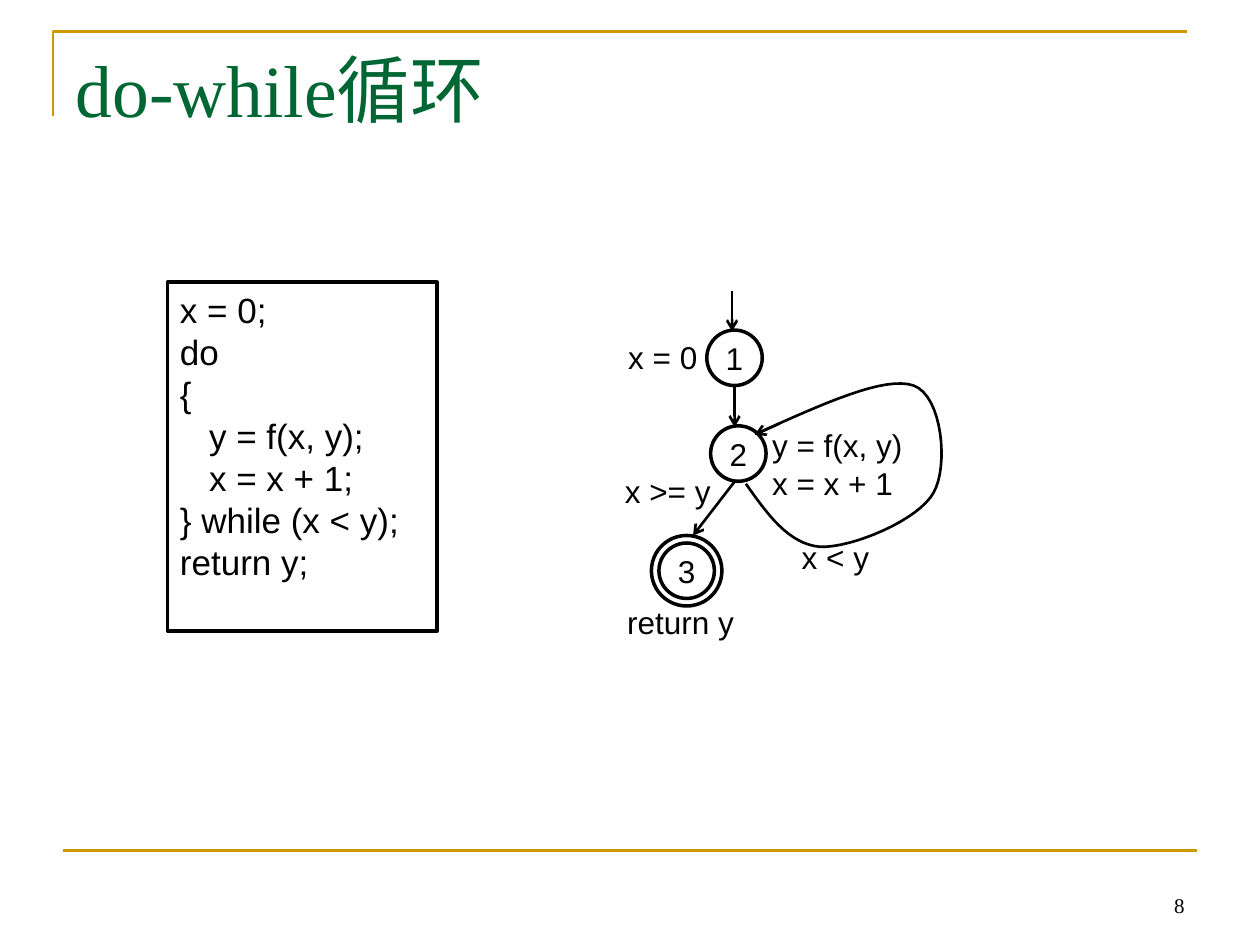
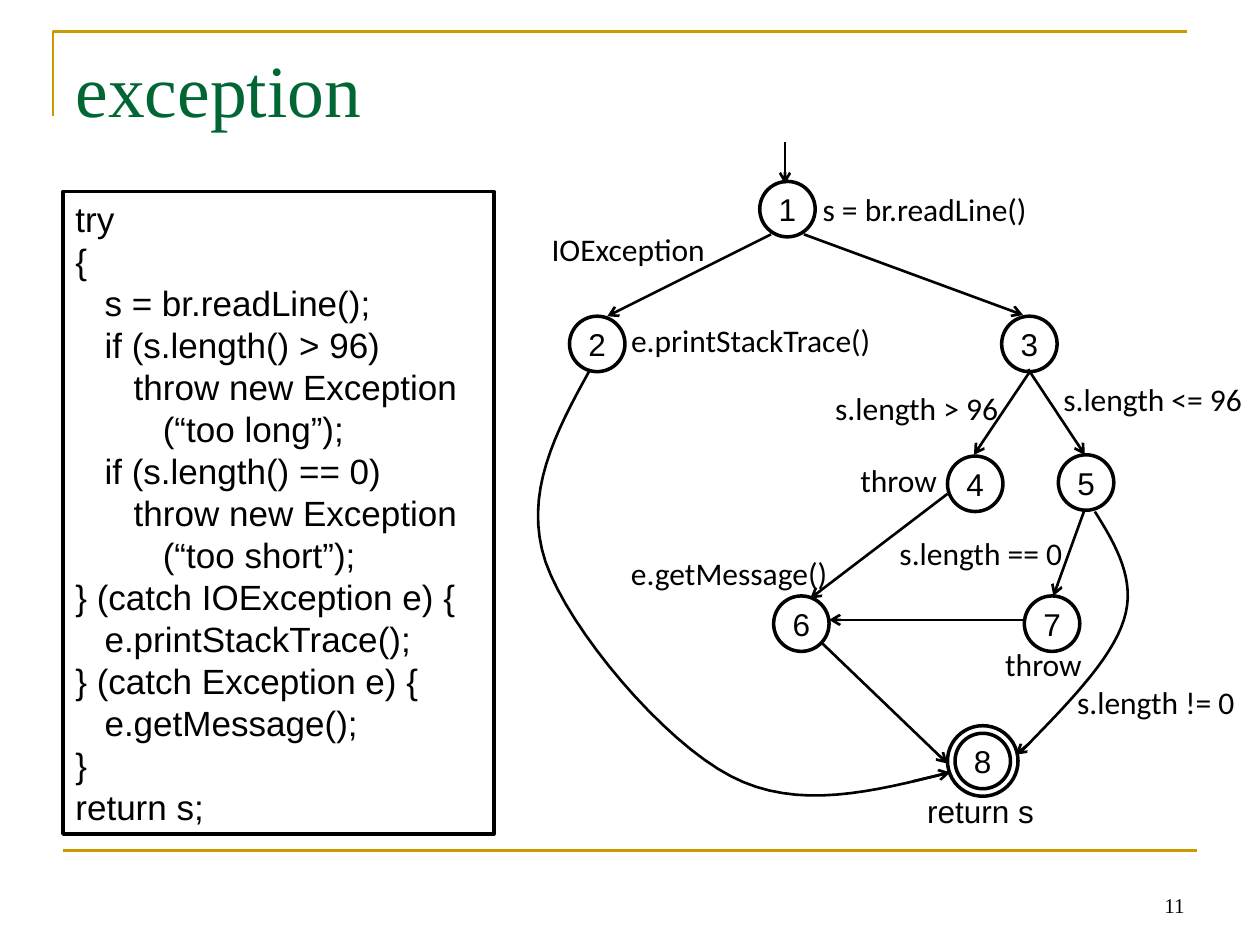
"""Build two slides that pair source code with its control flow graph."""
import dataclasses
import typing

import lxml.etree
import pptx
import pptx.dml.color
import pptx.enum.shapes
import pptx.enum.text
import pptx.oxml.ns
import pptx.util

Inches = pptx.util.Inches
Pt = pptx.util.Pt
Align = pptx.enum.text.PP_ALIGN
Anchor = pptx.enum.text.MSO_ANCHOR
Shape = pptx.enum.shapes.MSO_SHAPE
qn = pptx.oxml.ns.qn
Point = tuple[float, float]


@dataclasses.dataclass(frozen=True)
class Theme:
    """Colours, fonts, type sizes and line widths of the deck."""
    ink: str = "000000"
    paper: str = "FFFFFF"
    green: str = "006633"
    gold: str = "CC9900"
    serif: str = "Times New Roman"
    sans: str = "Arial"
    plain: str = "Calibri"
    title: float = 42
    code: float = 20
    label: float = 18
    foot: float = 12
    gap: float = 11.2
    thin: float = 1.5
    thick: float = 2


THEME = Theme()
NODE = 0.44
RING = 0.56
STEPS = 16


class Box(typing.NamedTuple):
    """Place and size in inches."""
    x: float
    y: float
    w: float
    h: float


class Node(typing.NamedTuple):
    """Graph node by the centre of its circle."""
    name: str
    x: float
    y: float
    final: bool = False


class Edge(typing.NamedTuple):
    """Straight arrow."""
    start: Point
    end: Point


class Label(typing.NamedTuple):
    """Text beside a node or an edge."""
    text: str
    box: Box
    font: str = THEME.sans
    align: Align = Align.LEFT
    pitch: float = 1.0


@dataclasses.dataclass(frozen=True)
class Page:
    """Content of one slide."""
    title: str
    number: int
    code: str
    frame: Box
    nodes: list[Node]
    edges: list[Edge]
    curves: list[list[Point]]
    labels: list[Label]


def colour(code: str) -> pptx.dml.color.RGBColor:
    """Turn a hex code into a colour."""
    return pptx.dml.color.RGBColor.from_string(code)


def inches(box: Box) -> list[int]:
    """Turn a box into lengths."""
    return [Inches(side) for side in box]


def style(frame, size: float, font: str, tint: str = THEME.ink,
          align: Align = Align.LEFT) -> None:
    """Format every run of a text frame."""
    for para in frame.paragraphs:
        para.alignment = align
        for run in para.runs:
            run.font.size = Pt(size)
            run.font.name = font
            run.font.color.rgb = colour(tint)


def stroke(shape, tint: str, width: float) -> None:
    """Set the outline of a shape."""
    shape.line.color.rgb = colour(tint)
    shape.line.width = Pt(width)


def add_line(slide, start: Point, end: Point, tint: str = THEME.ink,
             arrow: bool = True):
    """Draw a straight line, with an arrowhead if asked."""
    ends = [Inches(value) for value in (*start, *end)]
    line = slide.shapes.add_connector(
        pptx.enum.shapes.MSO_CONNECTOR.STRAIGHT, *ends)
    stroke(line, tint, THEME.thin)
    props = line.element.spPr
    if arrow:
        lxml.etree.SubElement(props.find(qn("a:ln")), qn("a:tailEnd"), type="arrow")
    lxml.etree.SubElement(props, qn("a:effectLst"))
    return line


def add_path(slide, points: list[Point], tint: str = THEME.ink):
    """Draw an open outline through points."""
    spots = [(Inches(x), Inches(y)) for x, y in points]
    pen = slide.shapes.build_freeform(*spots[0], scale=1.0)
    pen.add_line_segments(spots[1:], close=False)
    shape = pen.convert_to_shape()
    shape.shadow.inherit = False
    shape.fill.background()
    stroke(shape, tint, THEME.thin)
    return shape


def bend(knots: list[Point]) -> list[Point]:
    """Trace a chain of cubic curves as points."""
    points = [knots[0]]
    for first in range(0, len(knots) - 1, 3):
        part = knots[first:first + 4]
        for step in range(1, STEPS + 1):
            t = step / STEPS
            mix = ((1 - t) ** 3, 3 * t * (1 - t) ** 2, 3 * t * t * (1 - t), t ** 3)
            points.append((sum(m * k[0] for m, k in zip(mix, part)),
                           sum(m * k[1] for m, k in zip(mix, part))))
    return points


def add_ring(slide, node: Node, size: float):
    """Draw a circle around the centre of a node."""
    box = Box(node.x - size / 2, node.y - size / 2, size, size)
    ring = slide.shapes.add_shape(Shape.OVAL, *inches(box))
    ring.shadow.inherit = False
    ring.fill.background()
    stroke(ring, THEME.ink, THEME.thick)
    return ring


def add_node(slide, node: Node) -> None:
    """Draw a numbered node, with a second ring if it is final."""
    frame = add_ring(slide, node, NODE).text_frame
    frame.margin_left = frame.margin_right = 0
    frame.margin_top = frame.margin_bottom = 0
    frame.vertical_anchor = Anchor.MIDDLE
    frame.text = node.name
    style(frame, THEME.label, THEME.sans, align=Align.CENTER)
    if node.final:
        add_ring(slide, node, RING)


def add_label(slide, label: Label) -> None:
    """Write a label."""
    frame = slide.shapes.add_textbox(*inches(label.box)).text_frame
    frame.word_wrap = True
    frame.text = label.text
    style(frame, THEME.label, label.font, align=label.align)
    for rank, para in enumerate(frame.paragraphs):
        para.line_spacing = label.pitch
        if rank:
            para.space_before = Pt(THEME.gap)


def add_code(slide, code: str, box: Box) -> None:
    """Write a code listing in a frame."""
    shape = slide.shapes.add_shape(Shape.RECTANGLE, *inches(box))
    shape.shadow.inherit = False
    shape.fill.solid()
    shape.fill.fore_color.rgb = colour(THEME.paper)
    stroke(shape, THEME.ink, THEME.thick)
    frame = shape.text_frame
    frame.word_wrap = True
    frame.vertical_anchor = Anchor.TOP
    frame.text = code
    style(frame, THEME.code, THEME.sans)


def add_trim(slide, layout) -> None:
    """Draw the gold rules and hand them to the layout."""
    rules = [add_path(slide, [(0.42, 0.92), (0.42, 0.25), (9.42, 0.25)], THEME.gold),
             add_line(slide, (0.5, 6.75), (9.5, 6.75), THEME.gold, arrow=False)]
    for number, rule in enumerate(rules, 20):
        rule.element.xpath(".//p:cNvPr")[0].set("id", str(number))
        layout.shapes.element.append(rule.element)


def fill_page(slide, page: Page) -> None:
    """Put the content of a page on its slide."""
    title = slide.shapes.title
    title.left, title.top, title.width, title.height = inches(Box(0.5, 0.3, 9, 1.25))
    title.text_frame.text = page.title
    title.text_frame.vertical_anchor = Anchor.TOP
    title.text_frame.auto_size = pptx.enum.text.MSO_AUTO_SIZE.NONE
    style(title.text_frame, THEME.title, THEME.serif, THEME.green)
    add_code(slide, page.code, page.frame)
    for node in page.nodes:
        add_node(slide, node)
    for edge in page.edges:
        add_line(slide, edge.start, edge.end)
    for knots in page.curves:
        add_path(slide, bend(knots))
    for label in page.labels:
        add_label(slide, label)
    foot = slide.shapes.add_textbox(*inches(Box(7.17, 6.83, 2.33, 0.5))).text_frame
    foot.word_wrap = True
    foot.vertical_anchor = Anchor.BOTTOM
    foot.text = str(page.number)
    style(foot, THEME.foot, THEME.serif, align=Align.RIGHT)


LOOP = Page(
    "do-while循环", 8,
    """x = 0;
do
{
   y = f(x, y);
   x = x + 1;
} while (x < y);
return y;""",
    Box(1.33, 2.24, 2.14, 2.77),
    [Node("1", 5.83, 2.84), Node("2", 5.86, 3.6), Node("3", 5.45, 4.53, True)],
    [Edge((5.81, 2.31), (5.81, 2.63)), Edge((5.83, 3.07), (5.83, 3.39)),
     Edge((5.84, 3.81), (5.5, 4.25)), Edge((6.19, 3.36), (5.99, 3.45))],
    [[(5.92, 3.84), (6.09, 4.08), (6.26, 4.32), (6.51, 4.34), (6.76, 4.35),
      (7.29, 4.13), (7.41, 3.91), (7.53, 3.7), (7.48, 3.14), (7.25, 3.06),
      (7.02, 2.98), (6.52, 3.21), (6.01, 3.44)]],
    [Label("x = 0", Box(4.85, 2.63, 0.82, 0.4), align=Align.CENTER),
     Label("x >= y", Box(4.75, 3.7, 1.1, 0.4), align=Align.CENTER),
     Label("y = f(x, y)\nx = x + 1", Box(6.03, 3.46, 1.46, 0.56), pitch=0.5),
     Label("x < y", Box(6.22, 4.22, 0.82, 0.4), align=Align.CENTER),
     Label("return y", Box(4.88, 4.74, 1.33, 0.4))])

CATCH = Page(
    "exception", 11,
    """try
{
   s = br.readLine();
   if (s.length() > 96)
      throw new Exception
         (“too long”);
   if (s.length() == 0)
      throw new Exception
         (“too short”);
} (catch IOException e) {
   e.printStackTrace();
} (catch Exception e) {
   e.getMessage();
}
return s;""",
    Box(0.5, 1.52, 3.42, 5.1),
    [Node("1", 6.25, 1.66), Node("2", 4.74, 2.73), Node("3", 8.17, 2.73),
     Node("4", 7.74, 3.84), Node("5", 8.62, 3.83), Node("6", 6.36, 4.95),
     Node("7", 8.35, 4.95), Node("8", 7.8, 6.04, True)],
    [Edge((6.23, 1.13), (6.23, 1.46)), Edge((6.12, 1.86), (4.82, 2.51)),
     Edge((6.38, 1.86), (8.12, 2.5)), Edge((8.18, 2.94), (7.73, 3.61)),
     Edge((8.16, 2.93), (8.61, 3.61)), Edge((8.61, 4.04), (8.36, 4.73)),
     Edge((8.17, 5.9), (8.06, 5.99)), Edge((7.52, 3.92), (6.43, 4.75)),
     Edge((8.13, 4.92), (6.58, 4.92)), Edge((6.53, 5.11), (7.52, 6.06)),
     Edge((7.25, 6.2), (7.54, 6.13))],
    [[(8.69, 4.06), (8.86, 4.33), (9.02, 4.61), (8.92, 4.92), (8.82, 5.24),
      (8.46, 5.6), (8.1, 5.97)],
     [(4.68, 2.94), (4.41, 3.43), (4.15, 3.92), (4.33, 4.46), (4.52, 5),
      (5.26, 5.88), (5.8, 6.16), (6.33, 6.44), (6.94, 6.28), (7.54, 6.13)]],
    [Label("s = br.readLine()", Box(6.43, 1.46, 2.15, 0.4), THEME.plain),
     Label("IOException", Box(4.28, 1.78, 1.7, 0.4), THEME.plain),
     Label("e.printStackTrace()", Box(4.91, 2.5, 2.48, 0.4), THEME.plain),
     Label("s.length > 96", Box(6.53, 3.04, 1.65, 0.7), THEME.plain),
     Label("s.length <= 96", Box(8.34, 2.97, 1.65, 0.7), THEME.plain),
     Label("s.length == 0", Box(7.04, 4.19, 1.65, 0.7), THEME.plain),
     Label("s.length != 0", Box(8.45, 5.37, 1.65, 0.4), THEME.plain),
     Label("throw", Box(7.88, 5.07, 0.84, 0.7), THEME.plain),
     Label("throw", Box(6.73, 3.61, 0.84, 0.7), THEME.plain),
     Label("e.getMessage()", Box(4.91, 4.35, 1.97, 0.7), THEME.plain),
     Label("return s", Box(7.26, 6.24, 1.33, 0.4))])


def main() -> None:
    """Build and save the deck."""
    deck = pptx.Presentation()
    deck.slide_width, deck.slide_height = Inches(10), Inches(7.5)
    layout = deck.slide_layouts[5]
    slides = [deck.slides.add_slide(layout) for _ in range(2)]
    add_trim(slides[0], layout)
    for slide, page in zip(slides, (LOOP, CATCH)):
        fill_page(slide, page)
    deck.save("out.pptx")


if __name__ == "__main__":
    main()
